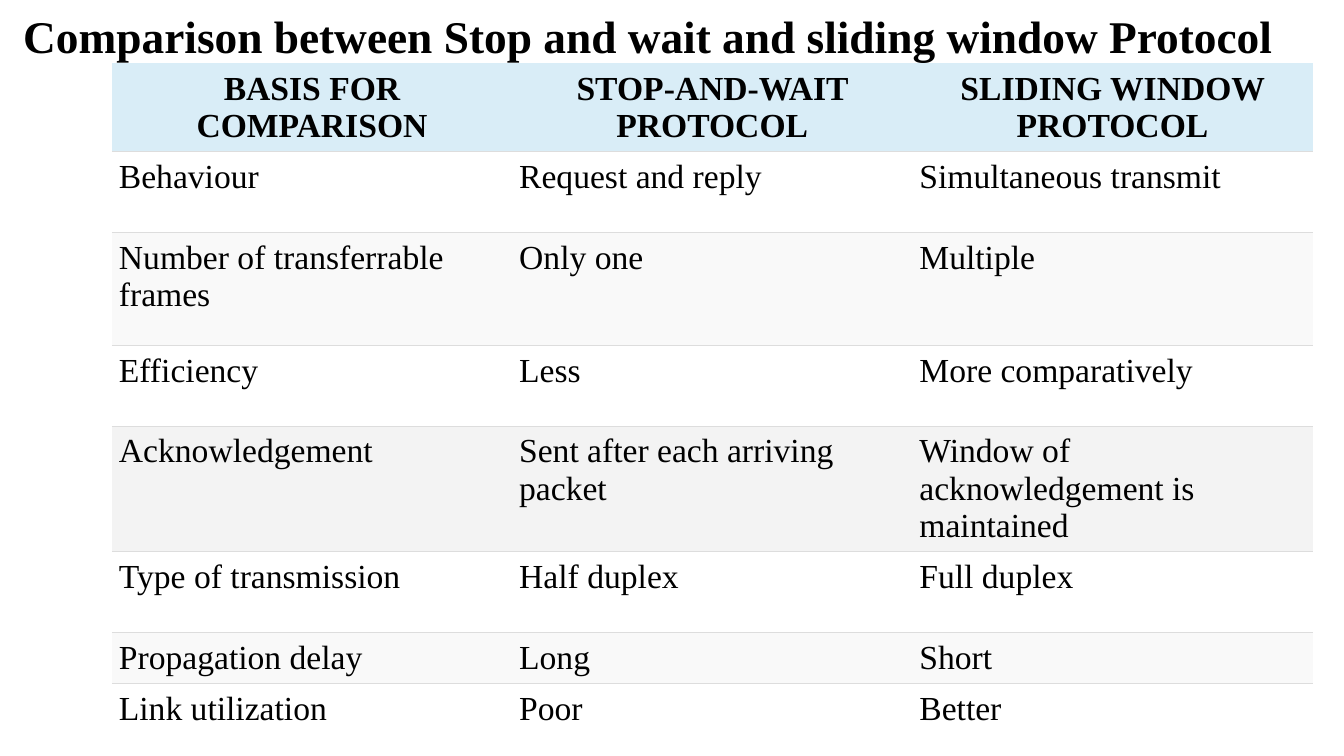
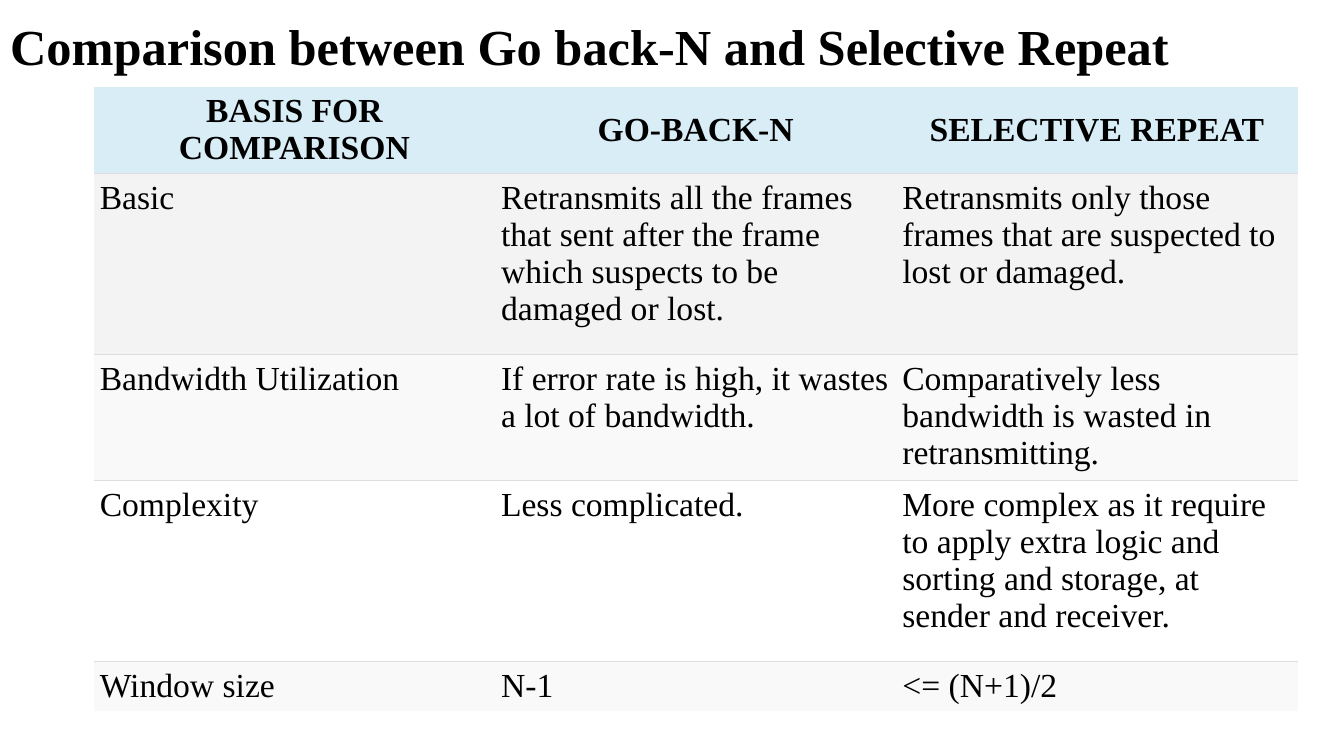
from lxml.etree import SubElement
from pptx import Presentation
from pptx.dml.color import RGBColor
from pptx.enum.text import MSO_ANCHOR, MSO_AUTO_SIZE, PP_ALIGN
from pptx.oxml.ns import qn
from pptx.util import Inches, Pt

SLIDE_WIDTH, SLIDE_HEIGHT = 13.33, 7.5
FONT = "Times New Roman"
COLORS = {
    "ink": "000000",
    "header": "D9EDF7",
    "plain": "FFFFFF",
    "band": "F9F9F9",
    "highlight": "F3F3F3",
    "rule": "DDDDDD",
}
PLAIN_TABLE_STYLE = "{2D5ABB26-0587-4C30-8999-92F81FD0307C}"
RULE_WIDTH = Pt(0.75)
CELL_TEXT_SIZE = 24

# Each row: height in inches, shade, cell texts
PROTOCOL_ROWS = [
    (0.8, "header", ("BASIS FOR COMPARISON", "STOP-AND-WAIT PROTOCOL",
                     "SLIDING WINDOW PROTOCOL")),
    (0.8, "plain", ("Behaviour", "Request and reply", "Simultaneous transmit")),
    (1.12, "band", ("Number of transferrable frames", "Only one", "Multiple")),
    (0.8, "plain", ("Efficiency", "Less", "More comparatively")),
    (1.12, "highlight", ("Acknowledgement", "Sent after each arriving packet",
                         "Window of acknowledgement is maintained")),
    (0.8, "plain", ("Type of transmission", "Half duplex", "Full duplex")),
    (0.49, "band", ("Propagation delay", "Long", "Short")),
    (0.49, "plain", ("Link utilization", "Poor", "Better")),
]
REPEAT_ROWS = [
    (0.7, "header", ("BASIS FOR COMPARISON", "GO-BACK-N", "SELECTIVE REPEAT")),
    (1.8, "highlight", (
        "Basic",
        "Retransmits all the frames that sent after the frame which suspects "
        "to be damaged or lost.",
        "Retransmits only those frames that are suspected to lost or damaged.")),
    (1.25, "band", (
        "Bandwidth Utilization",
        "If error rate is high, it wastes a lot of bandwidth.",
        "Comparatively less bandwidth is wasted in retransmitting.")),
    (1.8, "plain", (
        "Complexity",
        "Less complicated.",
        "More complex as it require to apply extra logic and sorting and "
        "storage, at sender and receiver.")),
    (0.42, "band", ("Window size", "N-1", "<= (N+1)/2")),
]


def set_all(target, values):
    for name, value in values.items():
        setattr(target, name, value)


def style_text(paragraph, size, bold, alignment):
    paragraph.alignment = alignment
    set_all(paragraph.font, {"name": FONT, "size": Pt(size), "bold": bold})
    paragraph.font.color.rgb = RGBColor.from_string(COLORS["ink"])


def place_title(slide, text, box, size):
    title = slide.shapes.title
    set_all(title, dict(zip(("left", "top", "width", "height"), map(Inches, box))))
    title.text = text
    set_all(title.text_frame, {
        "word_wrap": True,
        "auto_size": MSO_AUTO_SIZE.NONE,
        "vertical_anchor": MSO_ANCHOR.MIDDLE,
    })
    paragraph = title.text_frame.paragraphs[0]
    paragraph.line_spacing = 0.9
    style_text(paragraph, size, True, PP_ALIGN.LEFT)


def add_rule(cell, side):
    """Draw a thin border; call before the cell is filled."""
    line = SubElement(cell._tc.get_or_add_tcPr(), qn(f"a:{side}"), w=str(RULE_WIDTH))
    fill = SubElement(line, qn("a:solidFill"))
    SubElement(fill, qn("a:srgbClr"), val=COLORS["rule"])


def format_cell(cell, text, shade, inset, rules):
    is_header = shade == "header"
    for side in rules:
        add_rule(cell, side)
    cell.fill.solid()
    cell.fill.fore_color.rgb = RGBColor.from_string(COLORS[shade])
    cell.text = text
    margins = ("margin_left", "margin_top", "margin_right", "margin_bottom")
    set_all(cell, dict.fromkeys(margins, Inches(inset)))
    cell.vertical_anchor = MSO_ANCHOR.MIDDLE if is_header else MSO_ANCHOR.TOP
    style_text(cell.text_frame.paragraphs[0], CELL_TEXT_SIZE, is_header,
               PP_ALIGN.CENTER if is_header else PP_ALIGN.LEFT)


def place_comparison(slide, rows, left, top, width, inset):
    """Table of equal columns with rules between its rows only."""
    column_count = len(rows[0][2])
    total_height = sum(height for height, _, _ in rows)
    table = slide.shapes.add_table(
        len(rows), column_count,
        Inches(left), Inches(top), Inches(width), Inches(total_height)).table
    table._tbl.tblPr.find(qn("a:tableStyleId")).text = PLAIN_TABLE_STYLE
    set_all(table, {"first_row": False, "horz_banding": False})
    for column in table.columns:
        column.width = Inches(width / column_count)
    for index, (height, shade, texts) in enumerate(rows):
        table.rows[index].height = Inches(height)
        rules = ["lnT"] * (index > 0) + ["lnB"] * (index < len(rows) - 1)
        for cell, text in zip(table.rows[index].cells, texts):
            format_cell(cell, text, shade, inset, rules)


def build_comparison_slide(deck, title, title_box, title_size, rows, **table_box):
    slide = deck.slides.add_slide(deck.slide_layouts.get_by_name("Title Only"))
    place_title(slide, title, title_box, title_size)
    place_comparison(slide, rows, **table_box)


def main():
    deck = Presentation()
    set_all(deck, {"slide_width": Inches(SLIDE_WIDTH),
                   "slide_height": Inches(SLIDE_HEIGHT)})
    build_comparison_slide(
        deck, "Comparison between Stop and wait and sliding window Protocol",
        (0.13, 0, 13.03, 0.77), 32.4,
        PROTOCOL_ROWS, left=1.11, top=0.63, width=11.91, inset=0.07)
    build_comparison_slide(
        deck, "Comparison between Go back-N and Selective Repeat",
        (0, 0, SLIDE_WIDTH, 0.97), 36,
        REPEAT_ROWS, left=0.93, top=0.86, width=11.94, inset=0.06)
    deck.save("out.pptx")


if __name__ == "__main__":
    main()
